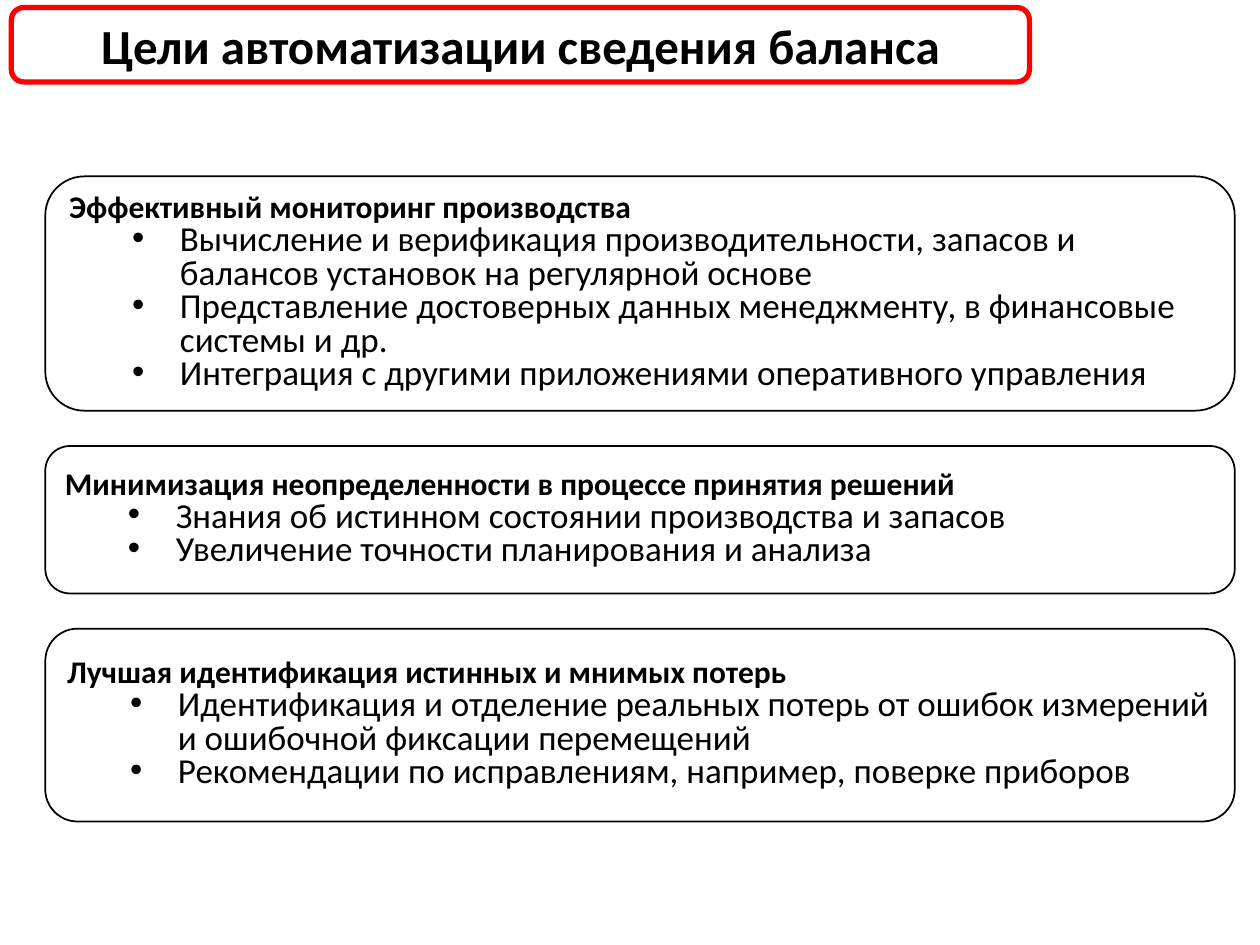
from pptx import Presentation
from pptx.dml.color import RGBColor
from pptx.enum.shapes import MSO_SHAPE
from pptx.enum.text import MSO_ANCHOR, PP_ALIGN
from pptx.oxml.ns import qn
from pptx.util import Inches, Pt
from lxml import etree

ROUNDED = MSO_SHAPE.ROUNDED_RECTANGLE
MIDDLE = MSO_ANCHOR.MIDDLE
LEFT, CENTER = PP_ALIGN.LEFT, PP_ALIGN.CENTER

TITLE = "Цели автоматизации сведения баланса"
GOALS = [
    (1.86, "Эффективный мониторинг производства", [
        "Вычисление и верификация производительности, запасов и балансов установок на регулярной основе",
        "Представление достоверных данных менеджменту, в финансовые системы и др.",
        "Интеграция с другими приложениями оперативного управления",
    ]),
    (1.17, "Минимизация неопределенности в процессе принятия решений", [
        "Знания об истинном состоянии производства и запасов",
        "Увеличение точности планирования и анализа",
    ]),
    (1.53, "Лучшая идентификация истинных и мнимых потерь", [
        "Идентификация и отделение реальных потерь от ошибок измерений и ошибочной фиксации перемещений",
        "Рекомендации по исправлениям, например, поверке приборов",
    ]),
]
GOALS_TOP, GOALS_GAP = 1.4, 0.28


def color(value):
    return RGBColor.from_string(value)


def write(p, text, size=20, bold=False, align=LEFT, spacing=None):
    p.alignment = align
    if spacing:
        p.line_spacing = spacing
    r = p.add_run()
    r.text = text
    r.font.name = "Calibri"
    r.font.size = Pt(size)
    r.font.bold = bold
    r.font.color.rgb = color("000000")


class Deck:
    """Holds the presentation style and the current slide."""

    black, red, white = "000000", "FF0000", "FFFFFF"
    spacing = 0.8

    def __init__(self):
        self.prs = Presentation()
        self.prs.slide_width = Inches(10)
        self.prs.slide_height = Inches(7.5)
        self.s = self.prs.slides.add_slide(self.prs.slide_layouts[6])

    def frame(self, x, y, w, h, line, width, fill=None):
        sp = self.s.shapes.add_shape(ROUNDED, Inches(x), Inches(y), Inches(w), Inches(h))
        sp.shadow.inherit = False
        if fill:
            sp.fill.solid()
            sp.fill.fore_color.rgb = color(fill)
        else:
            sp.fill.background()
        sp.line.color.rgb = color(line)
        sp.line.width = Pt(width)
        tf = sp.text_frame
        tf.word_wrap = True
        tf.vertical_anchor = MIDDLE
        return tf

    def title(self, text):
        tf = self.frame(0.09, 0.06, 8.08, 0.59, self.red, 3)
        write(tf.paragraphs[0], text, size=28, bold=True, align=CENTER)

    def bullet(self, tf, text):
        p = tf.add_paragraph()
        p.level = 1
        write(p, text, spacing=self.spacing)
        pPr = p._p.get_or_add_pPr()
        pPr.set("marL", str(Inches(0.88)))
        pPr.set("indent", str(Inches(-0.38)))
        etree.SubElement(pPr, qn("a:buFont"), typeface="Arial")
        etree.SubElement(pPr, qn("a:buChar"), char="•")

    def goal(self, y, h, heading, items):
        tf = self.frame(0.36, y, 9.44, h, self.black, 1, self.white)
        write(tf.paragraphs[0], heading, size=18, bold=True, spacing=self.spacing)
        for item in items:
            self.bullet(tf, item)


def main():
    deck = Deck()
    deck.title(TITLE)
    y = GOALS_TOP
    for h, heading, items in GOALS:
        deck.goal(y, h, heading, items)
        y += h + GOALS_GAP
    deck.prs.save("out.pptx")


if __name__ == "__main__":
    main()
